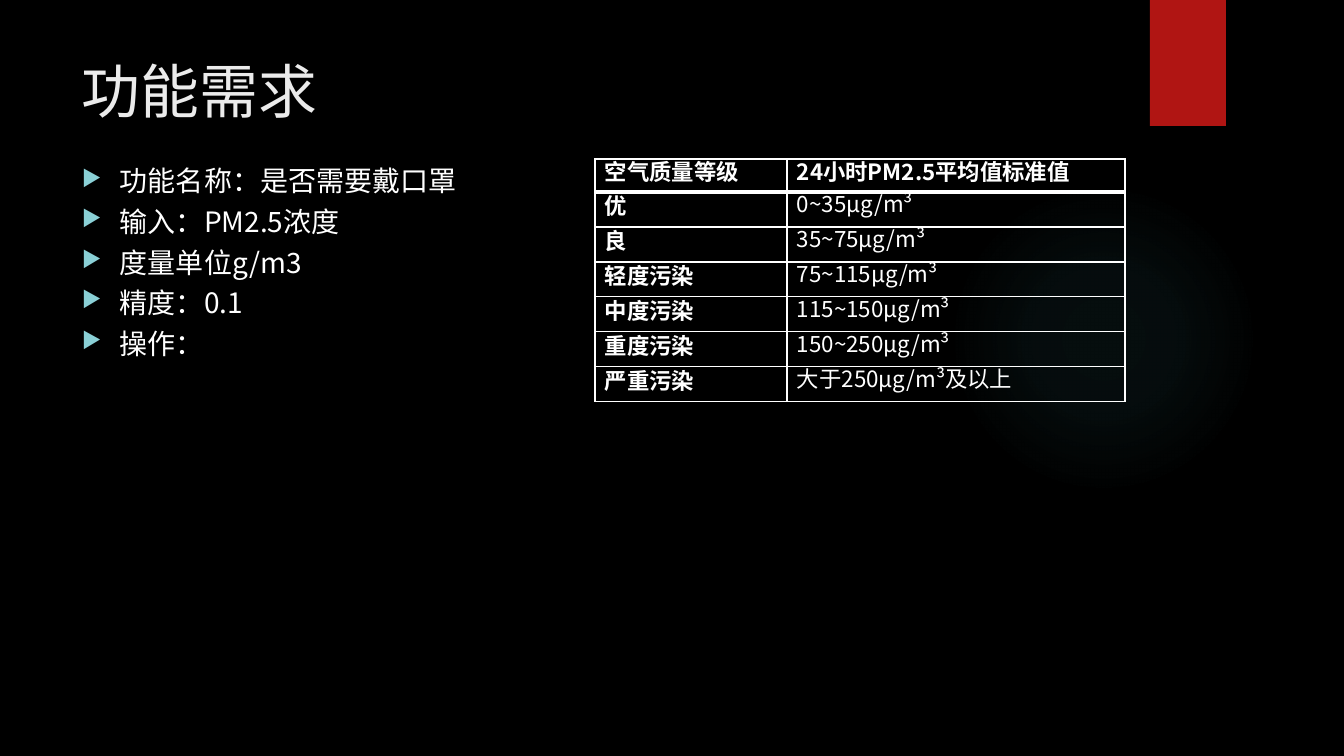
from dataclasses import dataclass

from pptx import Presentation
from pptx.dml.color import RGBColor
from pptx.enum.shapes import MSO_SHAPE
from pptx.enum.text import MSO_ANCHOR
from pptx.oxml import parse_xml
from pptx.oxml.ns import nsdecls
from pptx.util import Pt

PX = 914400 / 100.8
ELLIPSE, RECT = MSO_SHAPE.OVAL, MSO_SHAPE.RECTANGLE
TOP, MIDDLE = MSO_ANCHOR.TOP, MSO_ANCHOR.MIDDLE


def px(n):
    return round(n * PX)


@dataclass(frozen=True)
class Theme:
    font: str = "Noto Sans CJK SC"
    background: str = "000000"
    title: str = "EBEBEB"
    text: str = "FFFFFF"
    accent: str = "B01513"
    glow: str = "50B9C1"
    bullet: str = "8AD0D6"
    title_size: int = 42
    body_size: int = 20
    table_size: int = 16


class Deck:
    def __init__(self, theme):
        self.theme = theme
        self.prs = Presentation()
        self.prs.slide_width, self.prs.slide_height = px(1344), px(756)
        self.s = self.prs.slides.add_slide(self.prs.slide_layouts[6])
        fill = self.s.background.fill
        fill.solid()
        fill.fore_color.rgb = RGBColor.from_string(theme.background)

    def shape(self, kind, box, color):
        sp = self.s.shapes.add_shape(kind, *map(px, box))
        sp.shadow.inherit = False
        sp.fill.solid()
        sp.fill.fore_color.rgb = RGBColor.from_string(color)
        sp.line.fill.background()
        return sp

    def glow(self, box, color, stops):
        sp = self.shape(ELLIPSE, box, color)
        gs = "".join(
            f'<a:gs pos="{pos * 1000}"><a:srgbClr val="{color}">'
            f'<a:alpha val="{alpha * 1000}"/></a:srgbClr></a:gs>'
            for pos, alpha in stops)
        grad = parse_xml(
            f'<a:gradFill {nsdecls("a")}><a:gsLst>{gs}</a:gsLst><a:path path="circle">'
            '<a:fillToRect l="50000" t="50000" r="50000" b="50000"/></a:path></a:gradFill>')
        spPr = sp._element.spPr
        spPr.replace(spPr.find("{*}solidFill"), grad)

    def paragraph(self, p, text, size, color, bold=False):
        p.text = text
        for r in p.runs:
            r.font.size = Pt(size)
            r.font.bold = bold
            r.font.name = self.theme.font
            r.font.color.rgb = RGBColor.from_string(color)
            r.font._element.find("{*}latin").addnext(
                parse_xml(f'<a:ea {nsdecls("a")} typeface="{self.theme.font}"/>'))

    def text(self, box, lines, size, color):
        tf = self.s.shapes.add_textbox(*map(px, box)).text_frame
        tf.word_wrap = True
        tf.vertical_anchor = TOP
        tf.text = "\n".join(lines)
        for p, line in zip(tf.paragraphs, lines):
            self.paragraph(p, line, size, color)
        return tf

    def bullets(self, box, lines):
        tf = self.text(box, lines, self.theme.body_size, self.theme.text)
        for p in tf.paragraphs:
            p.space_before = Pt(5)
            pPr = p._p.get_or_add_pPr()
            pPr.set("marL", str(px(38)))
            pPr.set("indent", str(-px(38)))
            for tag in (f'buClr {nsdecls("a")}><a:srgbClr val="{self.theme.bullet}"/></a:buClr',
                        f'buSzPct {nsdecls("a")} val="80000"/',
                        f'buChar {nsdecls("a")} char="▶"/'):
                pPr.append(parse_xml(f"<a:{tag}>"))

    def borders(self, cell, bottom):
        tcPr = cell._tc.get_or_add_tcPr()
        widths = {"L": 1, "R": 1, "T": 1, "B": bottom}
        for i, (side, width) in enumerate(widths.items()):
            tcPr.insert(i, parse_xml(
                f'<a:ln{side} {nsdecls("a")} w="{Pt(width)}"><a:solidFill>'
                f'<a:srgbClr val="{self.theme.text}"/></a:solidFill></a:ln{side}>'))

    def table(self, left, top, widths, heights, rows):
        frame = self.s.shapes.add_table(
            len(rows), len(widths), px(left), px(top), px(sum(widths)), px(sum(heights)))
        table = frame.table
        table.horz_banding = False
        for column, width in zip(table.columns, widths):
            column.width = px(width)
        for i, (height, values) in enumerate(zip(heights, rows)):
            table.rows[i].height = px(height)
            for j, value in enumerate(values):
                heading = i == 0 or j == 0
                cell = table.cell(i, j)
                cell.fill.background()
                cell.margin_left = cell.margin_right = px(10)
                cell.margin_top = cell.margin_bottom = px(2)
                cell.vertical_anchor = MIDDLE if heading else TOP
                p = cell.text_frame.paragraphs[0]
                self.paragraph(p, value, self.theme.table_size, self.theme.text, heading)
                p.line_spacing = Pt(16.5 if heading else 18)
                if heading and i < 2:
                    p.space_before = p.space_after = Pt(3.8)
                self.borders(cell, 3 if i == 0 else 1)


def main():
    theme = Theme()
    deck = Deck(theme)
    deck.glow((949, 184, 310, 310), theme.glow, [(0, 7), (36, 6), (69, 0), (100, 0)])
    deck.shape(RECT, (1150, 0, 76, 126), theme.accent)
    deck.text((72, 50, 1037, 110), ["功能需求"], theme.title_size, theme.title)
    deck.bullets((72, 159, 523, 281), [
        "功能名称：是否需要戴口罩", "输入：PM2.5浓度", "度量单位g/m3", "精度：0.1", "操作："])
    deck.table(595, 159, [192, 338], [33] + [35] * 6, [
        ("空气质量等级", "24小时PM2.5平均值标准值"),
        ("优", "0~35μg/m³"),
        ("良", "35~75μg/m³"),
        ("轻度污染", "75~115μg/m³"),
        ("中度污染", "115~150μg/m³"),
        ("重度污染", "150~250μg/m³"),
        ("严重污染", "大于250μg/m³及以上"),
    ])
    deck.prs.save("out.pptx")


if __name__ == "__main__":
    main()
